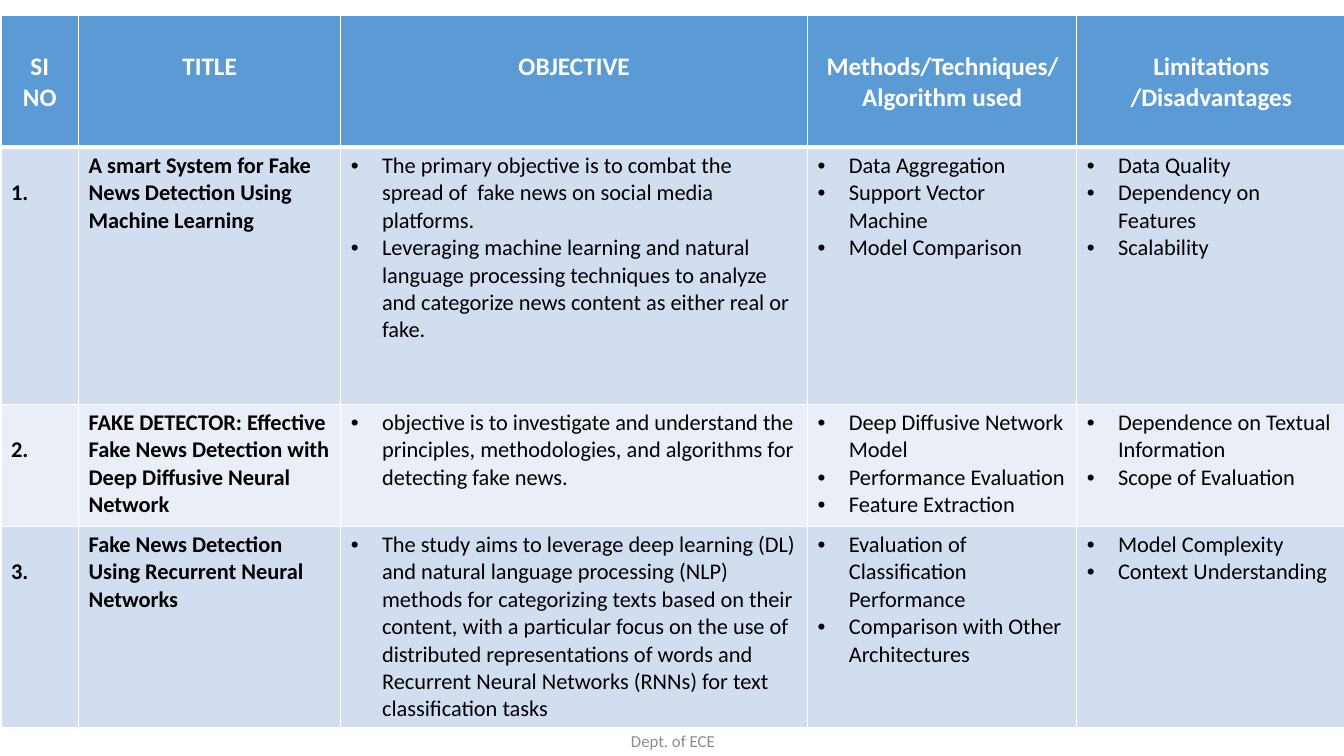
from lxml import etree
from pptx import Presentation
from pptx.dml.color import RGBColor
from pptx.enum.text import MSO_ANCHOR, PP_ALIGN
from pptx.oxml.ns import qn
from pptx.util import Inches, Pt

CENTER, LEFT = PP_ALIGN.CENTER, PP_ALIGN.LEFT
MIDDLE = MSO_ANCHOR.MIDDLE

WHITE = RGBColor(0xFF, 0xFF, 0xFF)
BLACK = RGBColor(0x00, 0x00, 0x00)
GREY = RGBColor(0x8C, 0x8C, 0x8C)
HEADER_BLUE = RGBColor(0x5B, 0x9B, 0xD5)
BANDS = (RGBColor(0xD2, 0xDE, 0xEF), RGBColor(0xEA, 0xEF, 0xF7))

FONT = "Calibri"
SLIDE_W, SLIDE_H = 13.33, 7.5
COLUMNS = (0.77, 2.6, 4.63, 2.67, 2.67)
ROWS = (1.31, 2.55, 1.21, 2.0)
INDENT = Inches(0.31)
HEADER_TOP = Inches(0.36)
NUMBER_TOP = Inches(0.32)

HEADINGS = ("SI NO", "TITLE", "OBJECTIVE", "Methods/Techniques/Algorithm used",
            "Limitations /Disadvantages")
PAPERS = (
    ("A smart System for Fake News Detection Using Machine Learning",
     ("The primary objective is to combat the spread of  fake news on social media platforms.",
      "Leveraging machine learning and natural language processing techniques to analyze "
      "and categorize news content as either real or fake."),
     ("Data Aggregation", "Support Vector Machine", "Model Comparison"),
     ("Data Quality", "Dependency on Features", "Scalability")),
    ("FAKE DETECTOR: Effective Fake News Detection with Deep Diffusive Neural Network",
     ("objective is to investigate and understand the principles, methodologies, "
      "and algorithms for detecting fake news.",),
     ("Deep Diffusive Network Model", "Performance Evaluation", "Feature Extraction"),
     ("Dependence on Textual Information", "Scope of Evaluation")),
    ("Fake News Detection Using Recurrent Neural Networks",
     ("The study aims to leverage deep learning (DL) and natural language processing (NLP) "
      "methods for categorizing texts based on their content, with a particular focus on the "
      "use of distributed representations of words and Recurrent Neural Networks (RNNs) for "
      "text classification tasks",),
     ("Evaluation of Classification Performance", "Comparison with Other Architectures"),
     ("Model Complexity", "Context Understanding")),
)


def add_bullet(paragraph):
    properties = paragraph._p.get_or_add_pPr()
    properties.set("marL", str(INDENT))
    properties.set("indent", str(-INDENT))
    etree.SubElement(properties, qn("a:buFont"), typeface="Arial")
    etree.SubElement(properties, qn("a:buChar"), char="•")


def write(frame, *lines, size=16, color=BLACK, bold=False, align=LEFT, bullets=False):
    frame.word_wrap = True
    for index, line in enumerate(lines):
        paragraph = frame.paragraphs[0] if index == 0 else frame.add_paragraph()
        paragraph.alignment = align
        run = paragraph.add_run()
        run.text = line
        run.font.name = FONT
        run.font.size = Pt(size)
        run.font.bold = bold
        run.font.color.rgb = color
        if bullets:
            add_bullet(paragraph)


def style_cell(cell, fill, top_width=1, bottom_width=1):
    properties = cell._tc.get_or_add_tcPr()
    for side, width in zip("LRTB", (1, 1, top_width, bottom_width)):
        line = etree.SubElement(properties, qn(f"a:ln{side}"), w=str(Pt(width)))
        line_fill = etree.SubElement(line, qn("a:solidFill"))
        etree.SubElement(line_fill, qn("a:srgbClr"), val=str(WHITE))
    cell.fill.solid()
    cell.fill.fore_color.rgb = fill


def fill_header(table):
    for column, heading in enumerate(HEADINGS):
        cell = table.cell(0, column)
        style_cell(cell, HEADER_BLUE, bottom_width=3)
        cell.margin_top = HEADER_TOP
        write(cell.text_frame, heading, size=18, color=WHITE, bold=True, align=CENTER)


def fill_paper(table, number, paper):
    title, *lists = paper
    cells = [table.cell(number, column) for column in range(len(COLUMNS))]
    for cell in cells:
        style_cell(cell, BANDS[(number - 1) % 2], top_width=3 if number == 1 else 1)
    cells[0].margin_top = NUMBER_TOP
    write(cells[0].text_frame, f"{number}.", bold=True)
    write(cells[1].text_frame, title, bold=True)
    for cell, points in zip(cells[2:], lists):
        write(cell.text_frame, *points, bullets=True)


def add_survey(slide):
    table = slide.shapes.add_table(
        len(ROWS), len(COLUMNS), Inches(0.01), Inches(0.02 * SLIDE_H),
        Inches(sum(COLUMNS)), Inches(sum(ROWS))).table
    for column, width in zip(table.columns, COLUMNS):
        column.width = Inches(width)
    for row, height in zip(table.rows, ROWS):
        row.height = Inches(height)
    fill_header(table)
    for number, paper in enumerate(PAPERS, 1):
        fill_paper(table, number, paper)


def add_footer(slide):
    width = 4.5
    footer = slide.shapes.add_textbox(
        Inches((SLIDE_W - width) / 2 + 0.01), Inches(7.15), Inches(width), Inches(0.4))
    footer.text_frame.vertical_anchor = MIDDLE
    write(footer.text_frame, "Dept. of ECE", size=12, color=GREY, align=CENTER)


def main():
    deck = Presentation()
    deck.slide_width, deck.slide_height = Inches(SLIDE_W), Inches(SLIDE_H)
    slide = deck.slides.add_slide(deck.slide_layouts[6])
    add_footer(slide)
    add_survey(slide)
    deck.save("out.pptx")


if __name__ == "__main__":
    main()
